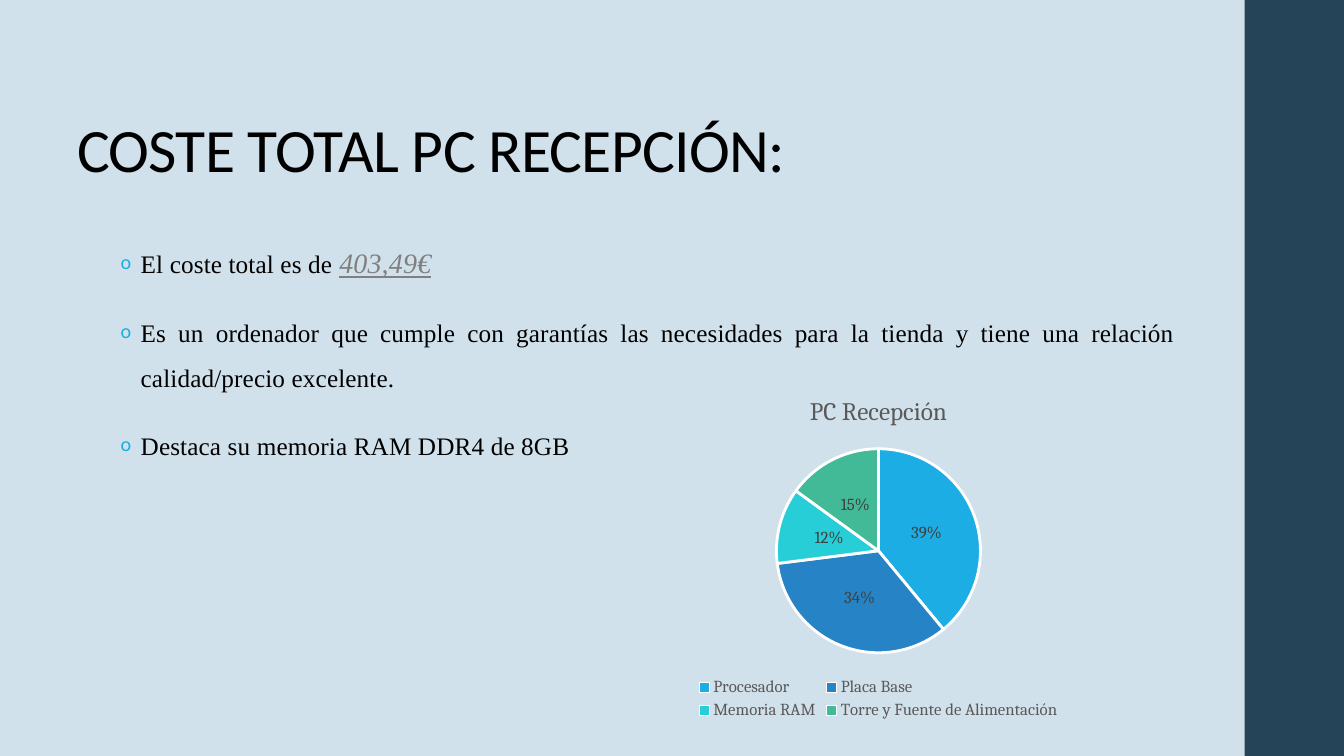
"""Build the reception PC cost slide with its component pie chart."""
from lxml import etree
from pptx import Presentation
from pptx.chart.data import CategoryChartData
from pptx.dml.color import RGBColor
from pptx.enum import chart as ch, shapes, text
from pptx.oxml import ns
from pptx.util import Pt

PALE = RGBColor(0xD1, 0xE1, 0xEB)
NAVY = RGBColor(0x26, 0x44, 0x57)
BLACK = RGBColor(0, 0, 0)
WHITE = RGBColor(255, 255, 255)
GREY = RGBColor(0x80, 0x80, 0x80)
DARK = RGBColor(0x40, 0x40, 0x40)
SLATE = RGBColor(0x59, 0x59, 0x59)
SKY = RGBColor(0x1C, 0xAD, 0xE4)
BLUE = RGBColor(0x26, 0x83, 0xC6)
CYAN = RGBColor(0x27, 0xCE, 0xD7)
GREEN = RGBColor(0x42, 0xBA, 0x97)


class Deck:
    heading, body, chart_font = "Calibri", "Times New Roman", "Cambria"

    def __init__(self, prs):
        self.s = prs.slides.add_slide(prs.slide_layouts[6])
        self.s.background.fill.solid()
        self.s.background.fill.fore_color.rgb = PALE

    def font(self, f, name, size, color):
        f.name, f.size, f.color.rgb = name, Pt(size), color

    def bar(self, box, color):
        sp = self.s.shapes.add_shape(shapes.MSO_SHAPE.RECTANGLE, *map(Pt, box))
        sp.shadow.inherit = False
        sp.fill.solid()
        sp.fill.fore_color.rgb = color
        sp.line.fill.background()

    def frame(self, box):
        tf = self.s.shapes.add_textbox(*map(Pt, box)).text_frame
        tf.word_wrap = True
        return tf

    def run(self, p, words, spacing):
        r = p.add_run()
        r.text = words
        r.font._element.set("spc", str(spacing))
        return r

    def title(self, box, words):
        tf = self.frame(box)
        tf.vertical_anchor = text.MSO_ANCHOR.BOTTOM
        p = tf.paragraphs[0]
        p.line_spacing = 0.9
        self.font(p.font, self.heading, 44, BLACK)
        self.run(p, words, -50)

    def bullet(self, p):
        pPr = p._p.get_or_add_pPr()
        pPr.set("marL", str(Pt(14.4)))
        pPr.set("indent", str(Pt(-14.4)))
        marks = [etree.Element(ns.qn("a:" + tag), **{key: value}) for tag, key, value in (
            ("buSzPct", "val", "80000"), ("buFont", "typeface", self.heading),
            ("buChar", "char", "o"))]
        color = etree.Element(ns.qn("a:buClr"))
        etree.SubElement(color, ns.qn("a:srgbClr"), val=str(SKY))
        at = list(pPr).index(pPr.find(ns.qn("a:defRPr")))
        pPr[at:at] = [color, *marks]

    def bullets(self, box, items):
        tf = self.frame(box)
        for i, (words, amount) in enumerate(items):
            p = tf.add_paragraph() if i else tf.paragraphs[0]
            p.alignment = text.PP_ALIGN.JUSTIFY
            p.line_spacing, p.space_before, p.space_after = 1.5, Pt(14), Pt(2)
            self.font(p.font, self.body, 18, BLACK)
            self.bullet(p)
            self.run(p, words, 10)
            if amount:
                f = self.run(p, amount, 10).font
                self.font(f, self.body, 20, GREY)
                f.italic = f.underline = True

    def pie(self, box, title, slices):
        data = CategoryChartData()
        data.categories = [name for name, _, _ in slices]
        data.add_series(title, [value for _, value, _ in slices])
        chart = self.s.shapes.add_chart(
            ch.XL_CHART_TYPE.PIE, *map(Pt, box), data).chart
        self.font(chart.font, self.chart_font, 10, BLACK)
        p = chart.chart_title.text_frame.paragraphs[0]
        p.text = title
        self.font(p.font, self.chart_font, 18, SLATE)
        p.font.bold = False
        chart.has_legend = True
        chart.legend.position = ch.XL_LEGEND_POSITION.BOTTOM
        chart.legend.include_in_layout = False
        self.font(chart.legend.font, self.chart_font, 12, SLATE)
        plot = chart.plots[0]
        plot.vary_by_categories = True
        for i, (_, _, color) in enumerate(slices):
            fmt = plot.series[0].points[i].format
            fmt.fill.solid()
            fmt.fill.fore_color.rgb = color
            fmt.line.color.rgb = WHITE
            fmt.line.width = Pt(2)
        labels = plot.series[0].data_labels
        labels.show_percentage, labels.show_value = True, False
        labels.number_format, labels.number_format_is_linked = "0%", False
        labels.position = ch.XL_LABEL_POSITION.CENTER
        self.font(labels.font, self.chart_font, 12, DARK)


def main():
    prs = Presentation()
    prs.slide_width, prs.slide_height = Pt(960), Pt(540)
    deck = Deck(prs)
    deck.bar((889, 0, 71, 540), NAVY)
    deck.pie((438.5, 270, 378, 247), "PC Recepción", [
        ("Procesador", 39, SKY),
        ("Placa Base", 34, BLUE),
        ("Memoria RAM", 12, CYAN),
        ("Torre y Fuente de Alimentación", 15, GREEN),
    ])
    deck.title((48, 31.7, 763, 104.4), "COSTE TOTAL PC RECEPCIÓN:")
    deck.bullets((79, 160, 768, 343), [
        ("El coste total es de ", "403,49€"),
        ("Es un ordenador que cumple con garantías las necesidades para la tienda "
         "y tiene una relación calidad/precio excelente.", None),
        ("Destaca su memoria RAM DDR4 de 8GB", None),
    ])
    prs.save("out.pptx")


if __name__ == "__main__":
    main()
